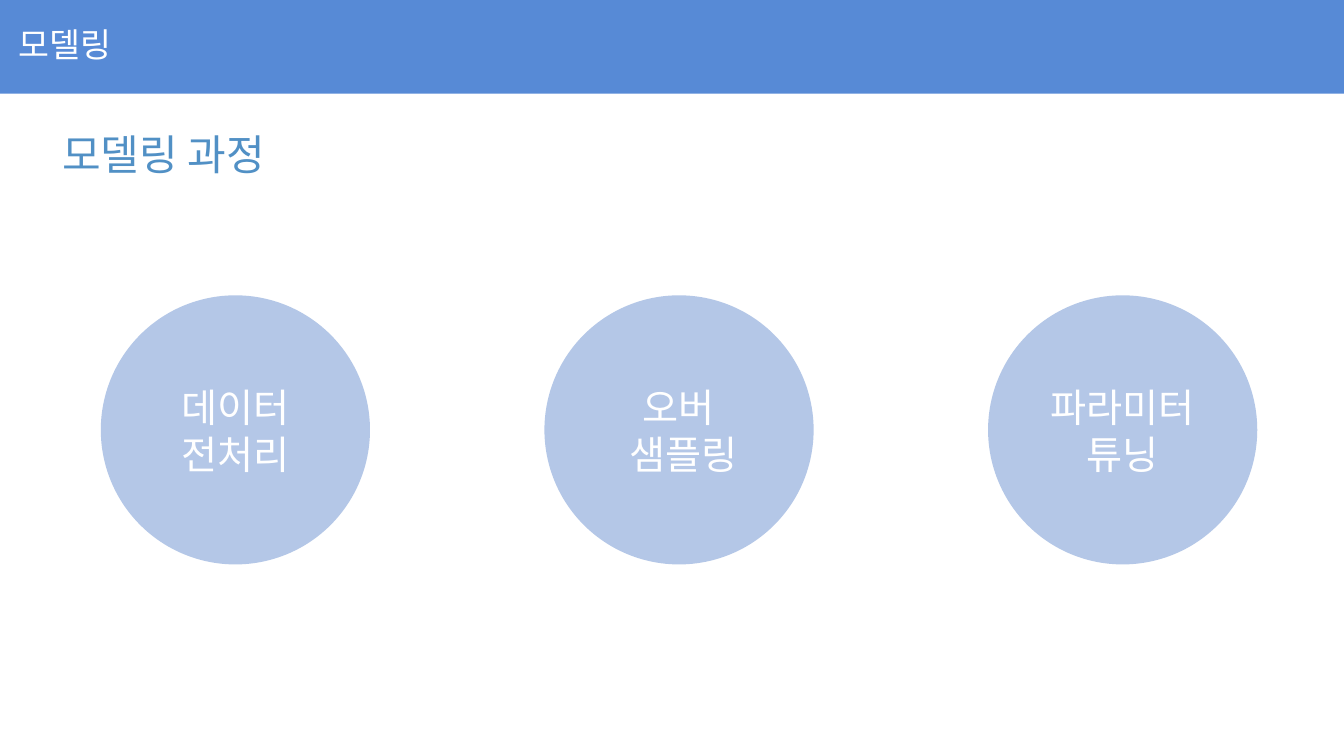
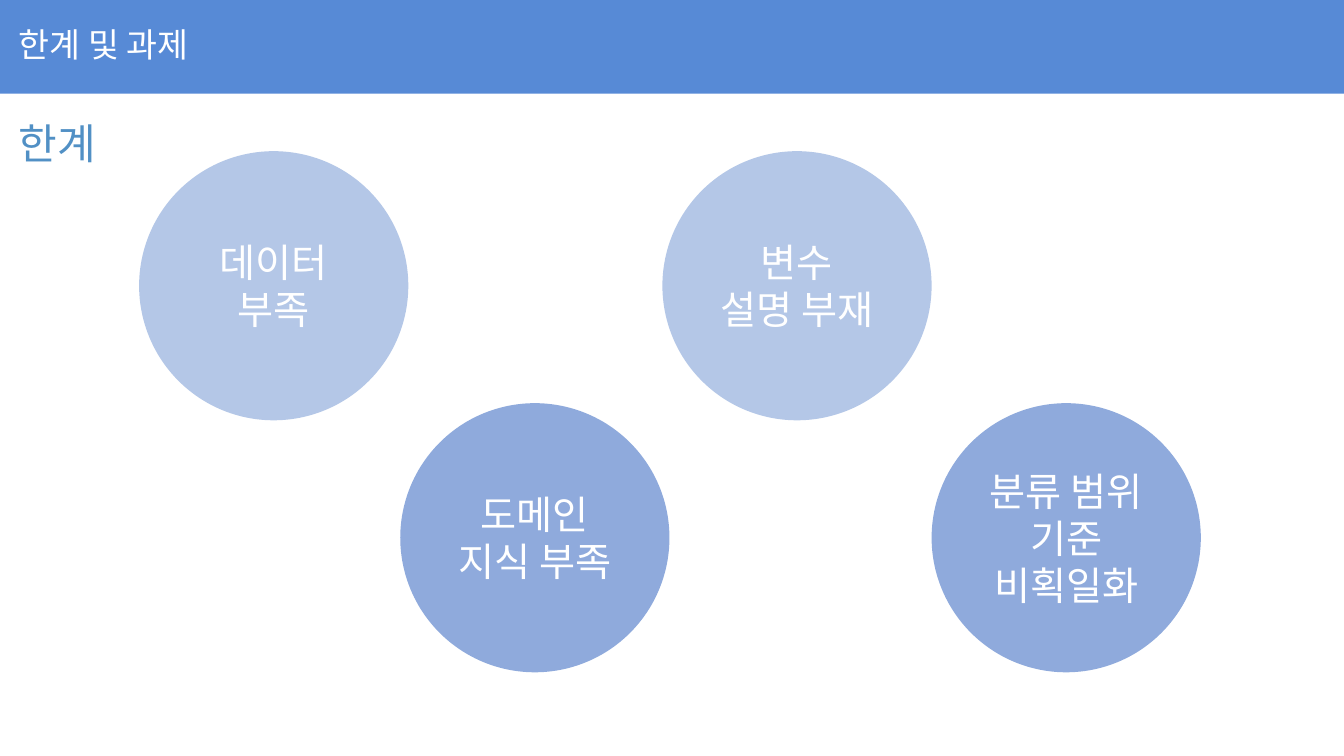
from pptx import Presentation
from pptx.dml.color import RGBColor
from pptx.enum.shapes import MSO_SHAPE
from pptx.enum.text import MSO_ANCHOR, MSO_AUTO_SIZE, PP_ALIGN
from pptx.oxml.ns import qn
from pptx.util import Inches, Pt
from lxml import etree

RECT, OVAL = MSO_SHAPE.RECTANGLE, MSO_SHAPE.OVAL
MIDDLE, CENTER = MSO_ANCHOR.MIDDLE, PP_ALIGN.CENTER
GROW = MSO_AUTO_SIZE.SHAPE_TO_FIT_TEXT

FONT = "Noto Sans CJK KR"
WHITE = RGBColor(0xFF, 0xFF, 0xFF)
BAND = RGBColor(0x57, 0x8A, 0xD6)
HEAD = RGBColor(0x51, 0x90, 0xC5)
PALE = RGBColor(0xB4, 0xC7, 0xE7)
DEEP = RGBColor(0x8F, 0xAA, 0xDC)
WIDTH, SIZE = 13.33, 2.67

# Content: each row of circles has a top, a fill, a first left and a step
SLIDES = [
    {"title": "모델링", "head": "모델링 과정", "at": (0.52, 1.23),
     "rows": [(2.93, PALE, 1, 4.4,
               ["데이터\n전처리", "오버\n 샘플링", "파라미터 튜닝"])]},
    {"title": "한계 및 과제", "head": "한계", "at": (0.09, 1.12),
     "rows": [(1.5, PALE, 1.38, 5.19, ["데이터\n부족", "변수\n설명 부재"]),
              (4, DEEP, 3.97, 5.27,
               ["도메인\n지식 부족", "분류 범위\n기준\n비획일화"])]},
]


def write(frame, text, size, color, align=None):
    frame.word_wrap = True
    frame.text = text
    for para in frame.paragraphs:
        para.alignment = align
        for run in para.runs:
            font = run.font
            font.name, font.size = FONT, Pt(size)
            font.color.rgb = color
            # Hangul takes the East Asian typeface
            east = etree.Element(qn("a:ea"), typeface=FONT)
            run._r.rPr.find(qn("a:latin")).addnext(east)


def add_shape(slide, kind, left, top, width, height, fill):
    shape = slide.shapes.add_shape(
        kind, Inches(left), Inches(top), Inches(width), Inches(height))
    shape.shadow.inherit = False
    shape.fill.solid()
    shape.fill.fore_color.rgb = fill
    shape.line.fill.background()
    return shape


def add_label(slide, left, top, width, height, text, size, color):
    box = slide.shapes.add_textbox(
        Inches(left), Inches(top), Inches(width), Inches(height))
    write(box.text_frame, text, size, color)
    box.text_frame.auto_size = GROW


def add_row(slide, top, fill, left, step, names):
    for i, name in enumerate(names):
        disc = add_shape(slide, OVAL, left + i * step, top, SIZE, SIZE, fill)
        disc.text_frame.vertical_anchor = MIDDLE
        write(disc.text_frame, name, 28, WHITE, CENTER)


def main():
    prs = Presentation()
    prs.slide_width, prs.slide_height = Inches(WIDTH), Inches(7.5)
    for page in SLIDES:
        slide = prs.slides.add_slide(prs.slide_layouts[6])
        # Title band and heading
        add_shape(slide, RECT, 0, 0, WIDTH, 0.93, BAND)
        add_label(slide, 0.09, 0.19, 3.26, 0.5, page["title"], 24, WHITE)
        add_label(slide, *page["at"], 4.03, 0.61, page["head"], 30, HEAD)
        # Circles
        for row in page["rows"]:
            add_row(slide, *row)
    prs.save("out.pptx")


if __name__ == "__main__":
    main()
